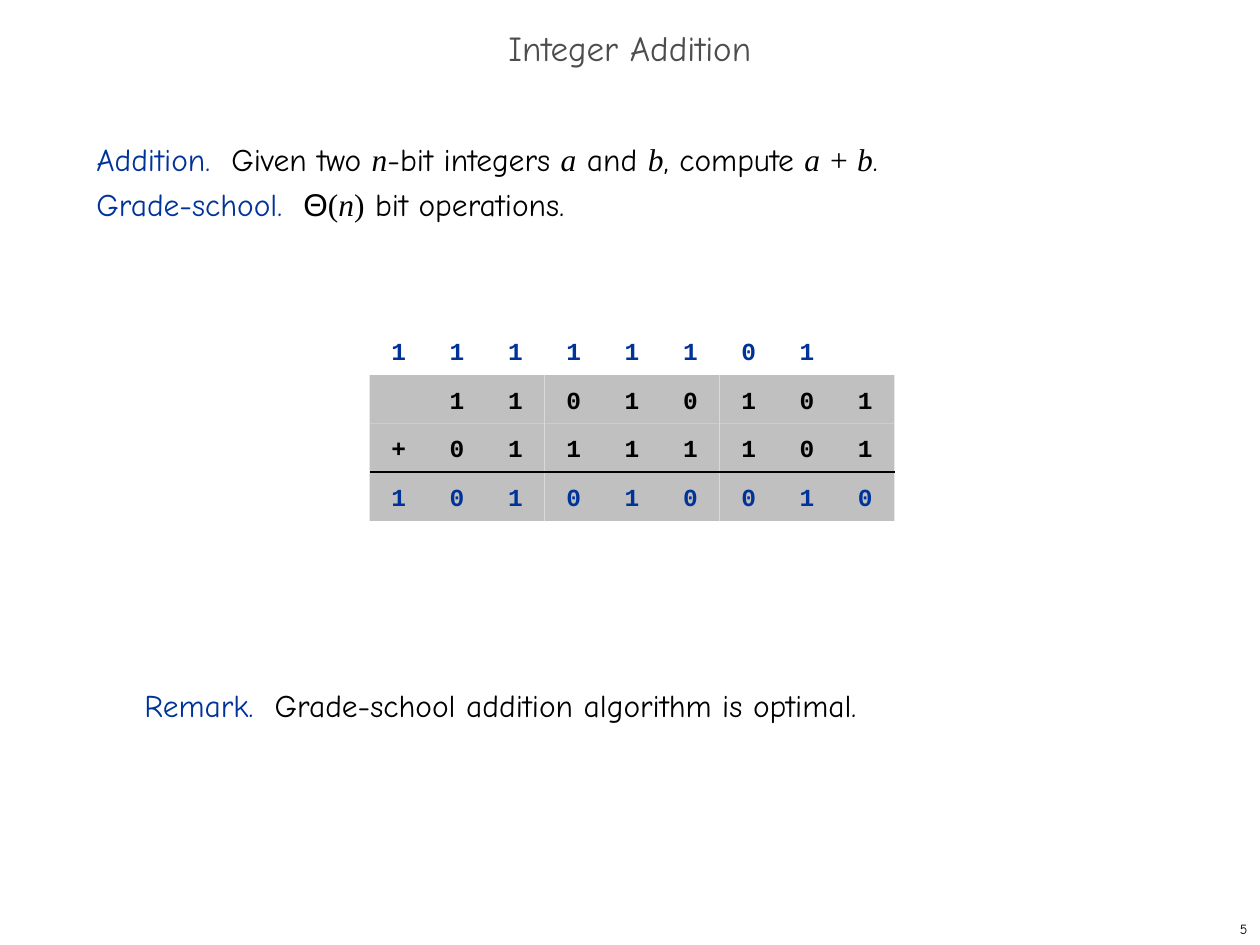
from lxml import etree
from pptx import Presentation
from pptx import util as u
from pptx.dml.color import RGBColor
from pptx.enum import shapes, text
from pptx.oxml.ns import qn

COLORS = {"blue": "003399", "black": "000000", "title": "4D4D4D", "cell": "C0C0C0"}
COMIC, TIMES, ARIAL, MONO = "Comic Neue", "Times New Roman", "Arial", "Courier New"

GRID_LEFT, GRID_TOP = 211.2, 186.5
CELL_W, CELL_H = 33.33, 27.8
SUM_ROWS = [
    ("11111101 ", "blue", False),
    (" 11010101", "black", True),
    ("+01111101", "black", True),
    ("101010010", "blue", True),
]

DEFINITIONS = [
    [("Addition.  ", COMIC, "blue"), ("Given two ", COMIC, "black"),
     ("n", TIMES, "black"), ("-bit integers ", COMIC, "black"),
     ("a", TIMES, "black"), (" and ", COMIC, "black"),
     ("b", TIMES, "black"), (", compute ", COMIC, "black"),
     ("a + b", TIMES, "black"), (".", COMIC, "black")],
    [("Grade-school.  ", COMIC, "blue"), ("Θ", ARIAL, "black"),
     ("(", TIMES, "black"), ("n", TIMES, "black"), (")", TIMES, "black"),
     (" bit operations.", COMIC, "black")],
]
REMARK = [[("Remark.  ", COMIC, "blue"),
           ("Grade-school addition algorithm is optimal.", COMIC, "black")]]


def rgb(name):
    return RGBColor.from_string(COLORS[name])


def style(run, font, size, color, bold=False, italic=False):
    run.font.name = font
    run.font.size = u.Pt(size)
    run.font.color.rgb = rgb(color)
    run.font.bold = bold
    run.font.italic = italic


def add_prose(slide, left, top, width, height, lines):
    prose = slide.shapes.add_textbox(u.Pt(left), u.Pt(top), u.Pt(width), u.Pt(height))
    frame = prose.text_frame
    frame.word_wrap = True
    for index, pieces in enumerate(lines):
        line = frame.add_paragraph() if index else frame.paragraphs[0]
        line.line_spacing = u.Pt(26)
        for words, font, color in pieces:
            run = line.add_run()
            run.text = words
            is_variable = font == TIMES and words[0].isalpha()
            style(run, font, 18, color, italic=is_variable)


def add_label(slide, left, top, width, height, words, size, color, align, spacing=1.0):
    label = slide.shapes.add_textbox(u.Pt(left), u.Pt(top), u.Pt(width), u.Pt(height))
    frame = label.text_frame
    frame.word_wrap = True
    frame.vertical_anchor = text.MSO_ANCHOR.MIDDLE
    frame.text = words
    line = frame.paragraphs[0]
    line.alignment = align
    line.line_spacing = spacing
    style(line.runs[0], COMIC, size, color)


def add_digit(slide, row, column, digit, color, shaded):
    place = (u.Pt(GRID_LEFT + column * CELL_W), u.Pt(GRID_TOP + row * CELL_H),
             u.Pt(CELL_W), u.Pt(CELL_H))
    if shaded:
        cell = slide.shapes.add_shape(shapes.MSO_SHAPE.RECTANGLE, *place)
        cell.shadow.inherit = False
        cell.fill.solid()
        cell.fill.fore_color.rgb = rgb("cell")
        cell.line.fill.background()
    else:
        cell = slide.shapes.add_textbox(*place)
    if digit == " ":
        return
    frame = cell.text_frame
    frame.word_wrap = False
    frame.vertical_anchor = text.MSO_ANCHOR.MIDDLE
    frame.text = digit
    frame.paragraphs[0].alignment = text.PP_ALIGN.CENTER
    style(frame.paragraphs[0].runs[0], MONO, 14, color, bold=True)


def add_sum_rule(slide, first, last):
    height = u.Pt(GRID_TOP + 3 * CELL_H)
    rule = slide.shapes.add_connector(
        shapes.MSO_CONNECTOR.STRAIGHT,
        u.Pt(GRID_LEFT + last * CELL_W), height,
        u.Pt(GRID_LEFT + first * CELL_W), height)
    rule.line.color.rgb = rgb("black")
    rule.line.width = u.Pt(1.25)
    etree.SubElement(rule._element.spPr, qn("a:effectLst"))


def main():
    deck = Presentation()
    deck.slide_width, deck.slide_height = u.Pt(720), u.Pt(540)
    slide = deck.slides.add_slide(deck.slide_layouts[6])

    add_prose(slide, 48, 72, 618, 60, DEFINITIONS)
    add_prose(slide, 75.5, 384, 590, 34, REMARK)
    add_label(slide, 0, 12, 720, 36, "Integer Addition", 20, "title",
              text.PP_ALIGN.CENTER, 0.7)

    for row, (digits, color, shaded) in enumerate(SUM_ROWS):
        for column, digit in enumerate(digits):
            if shaded or digit != " ":
                add_digit(slide, row, column, digit, color, shaded)
    for first, last in ((0, 5), (5, 9)):
        add_sum_rule(slide, first, last)

    add_label(slide, 570, 522, 150, 18, "5", 8, "black", text.PP_ALIGN.RIGHT)
    deck.save("out.pptx")


if __name__ == "__main__":
    main()
